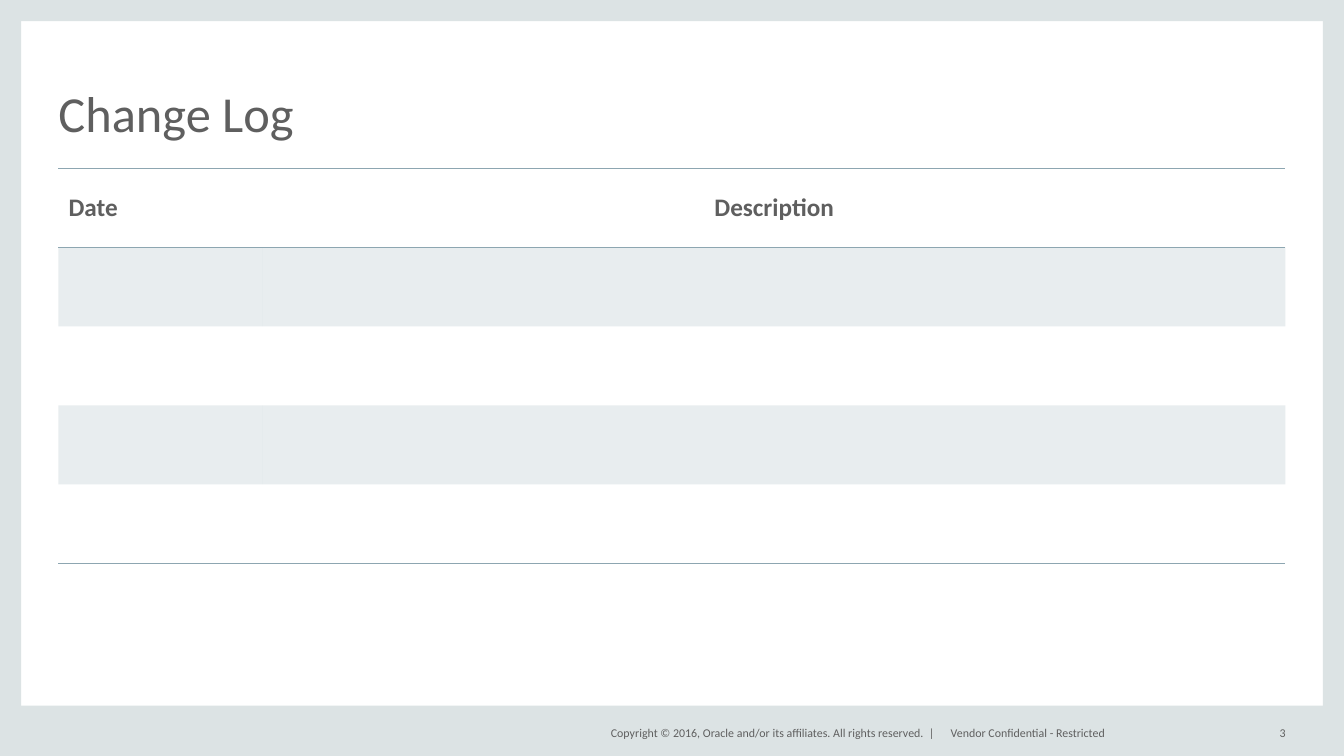
from lxml import etree
from pptx import Presentation
from pptx.dml.color import RGBColor
from pptx.enum.shapes import MSO_SHAPE
from pptx.enum.text import MSO_ANCHOR, PP_ALIGN
from pptx.oxml import parse_xml
from pptx.oxml.ns import nsdecls, qn
from pptx.util import Inches, Pt

RECT = MSO_SHAPE.RECTANGLE
MID, LOW = MSO_ANCHOR.MIDDLE, MSO_ANCHOR.BOTTOM
LEFT, MID_X, RIGHT = PP_ALIGN.LEFT, PP_ALIGN.CENTER, PP_ALIGN.RIGHT

THEME = {
    "font": "Calibri", "ink": "5F5F5F", "frame": "DCE3E4", "rule": "8DA6B1",
    "title": 36, "head": 18, "foot": 8.5,
}
WIDE, HIGH = 13.33, 7.5
EDGE, BASE = 0.21, 0.5      # frame and footer thickness
SIDE = 0.58                 # content margin
SPAN = WIDE - 2 * SIDE


def box(*sides):
    return [Inches(side) for side in sides]


def write(frame, text, size, align=LEFT, bold=False):
    part = frame.paragraphs[0]
    part.alignment = align
    run = part.add_run()
    run.text = text
    form = {"name": THEME["font"], "size": Pt(THEME[size]), "bold": bold}
    for key, value in form.items():
        setattr(run.font, key, value)
    run.font.color.rgb = RGBColor.from_string(THEME["ink"])
    return part


deck = Presentation()
deck.slide_width, deck.slide_height = box(WIDE, HIGH)
slide = deck.slides.add_slide(deck.slide_layouts[5])
shapes = slide.shapes
bare = {f"margin_{side}": 0 for side in ("left", "right", "top", "bottom")}

# Frame around the page
for sides in (
    (0, 0, EDGE, HIGH),
    (WIDE - EDGE, 0, EDGE, HIGH),
    (0, HIGH - BASE, WIDE, BASE),
    (0, 0, WIDE, EDGE),
):
    bar = shapes.add_shape(RECT, *box(*sides))
    bar.shadow.inherit = False
    bar.fill.solid()
    bar.fill.fore_color.rgb = RGBColor.from_string(THEME["frame"])
    bar.line.fill.background()

# Title
title = shapes.title
title.left, title.top, title.width, title.height = box(SIDE, 0.44, SPAN, 0.97)
for key, value in {**bare, "vertical_anchor": LOW, "word_wrap": True}.items():
    setattr(title.text_frame, key, value)
write(title.text_frame, "Change Log", "title").line_spacing = 0.8

# Change table
heads = (("Date", LEFT), ("Description", MID_X))
rows, step = 5, 0.784
item = shapes.add_table(rows, len(heads), *box(SIDE, 1.67, SPAN, rows * step))
table = item.table
table.first_row = table.horz_banding = False
plain = "{2D5ABB26-0587-4C30-8999-92F81FD0307C}"
table._tbl.tblPr.find(qn("a:tableStyleId")).text = plain
for col, share in zip(table.columns, (1, 5)):
    col.width = Inches(SPAN * share / 6)
for row in table.rows:
    row.height = Inches(step)

rules = {0: ("lnT", "lnB"), rows - 1: ("lnB",)}
for r in range(rows):
    for c, (text, align) in enumerate(heads):
        cell = table.cell(r, c)
        cell.vertical_anchor = MID
        if r == 0:
            write(cell.text_frame, text, "head", align, True)
        for tag in rules.get(r, ()):
            cell._tc.get_or_add_tcPr().append(parse_xml(
                f'<a:{tag} {nsdecls("a")} w="{Pt(1)}"><a:solidFill>'
                f'<a:srgbClr val="{THEME["rule"]}"/></a:solidFill></a:{tag}>'))
        if r % 2:
            cell.fill.solid()
            cell.fill.fore_color.rgb = RGBColor.from_string(THEME["rule"])
            tint = cell._tc.tcPr.find(".//" + qn("a:srgbClr"))
            etree.SubElement(tint, qn("a:alpha"), val="20000")
        else:
            cell.fill.background()

# Footer
notes = (
    (5.88, 3.39, RIGHT,
     "Copyright © 2016, Oracle and/or its affiliates. All rights reserved.  |"),
    (9.43, 3, LEFT, "Vendor Confidential - Restricted"),
    (12.33, 0.42, RIGHT, "3"),
)
for left, width, align, text in notes:
    note = shapes.add_textbox(*box(left, 7.17, width, 0.2)).text_frame
    for key, value in {**bare, "vertical_anchor": MID, "word_wrap": True}.items():
        setattr(note, key, value)
    write(note, text, "foot", align)

deck.save("out.pptx")
